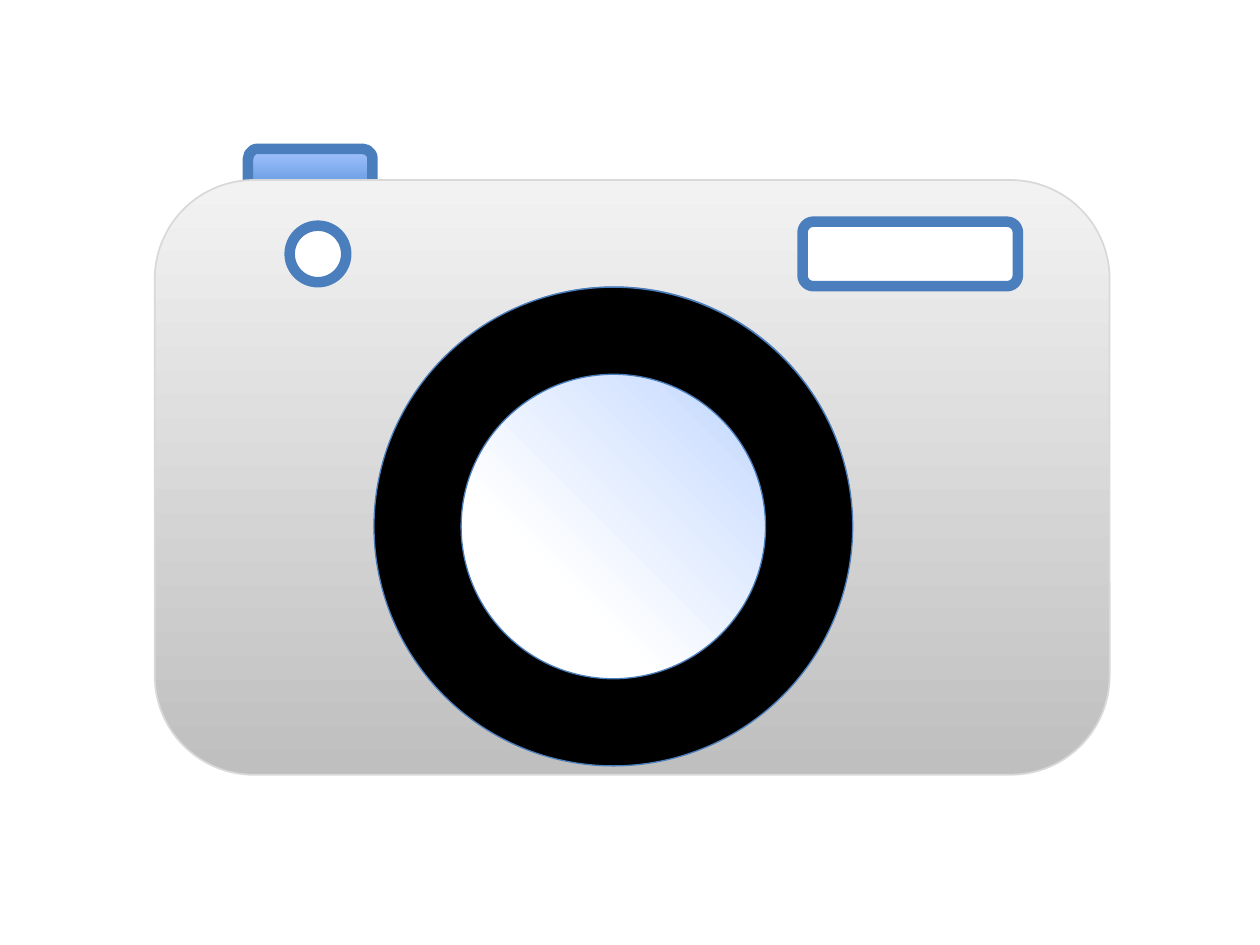
from lxml import etree
from pptx import Presentation
from pptx import util as u
from pptx.dml.color import RGBColor
from pptx.enum import shapes
from pptx.oxml.ns import qn

BLUE = RGBColor(0x4B, 0x7E, 0xBC)
DEEP_BLUE = RGBColor(0x3F, 0x80, 0xCE)
PALE_BLUE = RGBColor(0xA4, 0xC4, 0xFF)
WHITE = RGBColor(0xFF, 0xFF, 0xFF)
BLACK = RGBColor(0, 0, 0)
GREY = RGBColor(0xBF, 0xBF, 0xBF)
EDGE_GREY = RGBColor(0xD9, 0xD9, 0xD9)
LIGHT_GREY = RGBColor(0xF2, 0xF2, 0xF2)

KIND = shapes.MSO_SHAPE


def add_part(page, box, kind, place, fill, line, width):
    """Place a part in centimetres relative to the box; a pair of colours is a gradient."""
    left, top, wide, high = place
    part = page.shapes.add_shape(
        kind, u.Cm(box[0] + left), u.Cm(box[1] + top), u.Cm(wide), u.Cm(high))
    part.shadow.inherit = False
    if isinstance(fill, RGBColor):
        part.fill.solid()
        part.fill.fore_color.rgb = fill
    else:
        part.fill.gradient()
        part.fill.gradient_angle = 90
        for stop, colour in zip(part.fill.gradient_stops, fill):
            stop.color.rgb = colour
    part.line.color.rgb = line
    part.line.width = u.Pt(width)
    return part


def make_radial(part, start):
    """Spread the gradient in circles from the bottom left corner."""
    part.fill.gradient_stops[0].position = start
    linear = next(part.element.iter(qn("a:lin")))
    radial = etree.Element(qn("a:path"), {"path": "circle"})
    corner = {"t": "100000", "r": "100000"}
    etree.SubElement(radial, qn("a:fillToRect"), corner)
    linear.getparent().replace(linear, radial)


def draw_camera(page, box):
    # Shutter button, behind the body
    add_part(page, box, KIND.ROUNDED_RECTANGLE, (1.88, -0.63, 2.51, 1.19),
             (DEEP_BLUE, PALE_BLUE), BLUE, 6)
    # Body
    add_part(page, box, KIND.ROUNDED_RECTANGLE, (0, 0, box[2], box[3]),
             (GREY, LIGHT_GREY), EDGE_GREY, 1)
    # Lens glass and ring
    glass = add_part(page, box, KIND.OVAL, (4.47, 2.16, 9.58, 9.58),
                     (WHITE, PALE_BLUE), BLUE, 1)
    make_radial(glass, 0.38)
    ring = add_part(page, box, KIND.DONUT, (4.42, 2.16, 9.65, 9.65), BLACK, BLUE, 0.75)
    ring.adjustments[0] = 0.182
    # Viewfinder and lamp
    for kind, place in (
        (KIND.ROUNDED_RECTANGLE, (13.06, 0.84, 4.34, 1.3)),
        (KIND.OVAL, (2.72, 0.92, 1.14, 1.14)),
    ):
        add_part(page, box, kind, place, WHITE, BLUE, 6)


deck = Presentation()
deck.slide_width, deck.slide_height = u.Cm(25.4), u.Cm(19.05)
page = deck.slides.add_slide(deck.slide_layouts[6])
draw_camera(page, (3.12, 3.63, 19.25, 11.99))
deck.save("out.pptx")
